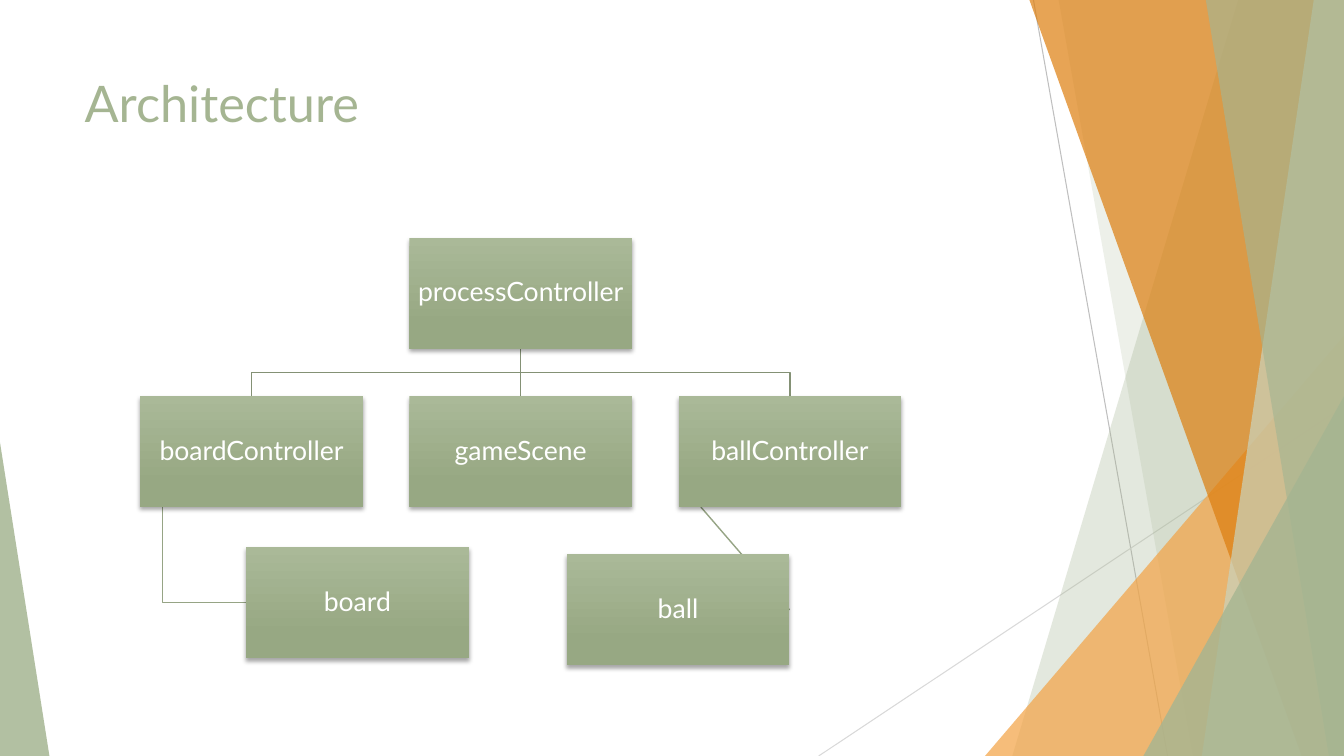
from lxml import etree
from pptx import Presentation
from pptx.dml.color import RGBColor
from pptx.enum.shapes import MSO_CONNECTOR, MSO_SHAPE
from pptx.enum.text import MSO_ANCHOR, PP_ALIGN
from pptx.oxml.ns import qn
from pptx.util import Inches, Pt

RECTANGLE, TRIANGLE = MSO_SHAPE.RECTANGLE, MSO_SHAPE.ISOSCELES_TRIANGLE
STRAIGHT = MSO_CONNECTOR.STRAIGHT
TOP, MIDDLE = MSO_ANCHOR.TOP, MSO_ANCHOR.MIDDLE
LEFT, CENTER = PP_ALIGN.LEFT, PP_ALIGN.CENTER

WHITE = RGBColor(0xFF, 0xFF, 0xFF)
SAGE = RGBColor(0xA5, 0xB5, 0x92)
PALE_SAGE = RGBColor(0xC9, 0xD3, 0xBE)
ORANGE = RGBColor(0xF3, 0xA4, 0x47)
DARK_ORANGE = RGBColor(0xDD, 0x7E, 0x0E)
GREY = RGBColor(0xBF, 0xBF, 0xBF)
LIGHT_GREY = RGBColor(0xD9, 0xD9, 0xD9)
BOX_TOP = RGBColor(0xAA, 0xB9, 0x98)
BOX_BOTTOM = RGBColor(0x97, 0xA8, 0x83)
UPPER_LINK = RGBColor(0x84, 0x91, 0x75)
LOWER_LINK = RGBColor(0x96, 0xA4, 0x85)

FONT = "Lato"
PAGE_WIDTH, PAGE_HEIGHT = 13.33, 7.5
BOX_WIDTH, BOX_HEIGHT = 2.21, 1.1


def style_span(span, size, color):
    span.font.name = FONT
    span.font.size = Pt(size)
    span.font.color.rgb = color


def fill_flat(shape, color, opacity):
    """Fill with a see-through colour, without outline or shadow."""
    shape.shadow.inherit = False
    shape.fill.solid()
    shape.fill.fore_color.rgb = color
    shape.line.fill.background()
    clr = shape._element.spPr.find(qn("a:solidFill"))[0]
    etree.SubElement(clr, qn("a:alpha"), val=str(opacity * 1000))


def add_outline(page, points, close):
    corners = [(Inches(x), Inches(y)) for x, y in points]
    builder = page.shapes.build_freeform(*corners[0], scale=1.0)
    builder.add_line_segments(corners[1:], close=close)
    return builder.convert_to_shape()


def add_band(page, top_x, bottom_x, color, opacity):
    """Band from a slanted left edge to the right edge of the page."""
    points = [(top_x, 0), (PAGE_WIDTH, 0),
              (PAGE_WIDTH, PAGE_HEIGHT), (bottom_x, PAGE_HEIGHT)]
    fill_flat(add_outline(page, points, True), color, opacity)


def add_corner(page, left, top, width, apex, color, opacity):
    """Triangle standing on the bottom edge of the page."""
    corner = page.shapes.add_shape(
        TRIANGLE, Inches(left), Inches(top), Inches(width),
        Inches(PAGE_HEIGHT - top))
    corner.adjustments[0] = apex
    fill_flat(corner, color, opacity)


def add_hairline(page, start, end, color):
    line = page.shapes.add_connector(
        STRAIGHT, *(Inches(value) for value in start + end))
    line.line.color.rgb = color
    line.line.width = Pt(0.75)
    etree.SubElement(line._element.spPr, qn("a:effectLst"))


def add_decoration(page):
    add_hairline(page, (10.25, 0), (11.58, PAGE_HEIGHT), GREY)
    add_hairline(page, (PAGE_WIDTH, 4.03), (8.12, PAGE_HEIGHT), LIGHT_GREY)
    add_band(page, 12.28, 10.04, SAGE, 30)
    add_band(page, 10.5, 11.83, SAGE, 20)
    add_corner(page, 9.77, 3.33, 3.56, 1, ORANGE, 72)
    add_band(page, 10.21, 12.91, DARK_ORANGE, 70)
    add_band(page, 13.03, 11.92, PALE_SAGE, 70)
    add_band(page, 11.96, 13.18, SAGE, 65)
    add_corner(page, 11.34, 3.93, 1.99, 1, SAGE, 80)
    add_corner(page, 0, 4.39, 0.49, 0, SAGE, 85)


def add_title(page, left, top, width, height):
    title = page.shapes.title
    title.left, title.top = Inches(left), Inches(top)
    title.width, title.height = Inches(width), Inches(height)
    frame = title.text_frame
    frame.text = "Architecture"
    frame.vertical_anchor = TOP
    para = frame.paragraphs[0]
    para.alignment = LEFT
    style_span(para.runs[0], 36, SAGE)


def add_link(page, points, color):
    link = add_outline(page, points, False)
    link.shadow.inherit = False
    link.fill.background()
    link.line.color.rgb = color
    link.line.width = Pt(1)


def add_box(page, name, left, top):
    box = page.shapes.add_shape(RECTANGLE, Inches(left), Inches(top),
                                Inches(BOX_WIDTH), Inches(BOX_HEIGHT))
    box.line.fill.background()
    box.fill.gradient()
    box.fill.gradient_angle = 270
    stops = box.fill.gradient_stops
    for stop, position, color in zip(stops, (0, 0.78), (BOX_TOP, BOX_BOTTOM)):
        stop.position = position
        stop.color.rgb = color

    # Soft shadow below the box
    box.shadow.inherit = False
    effects = box._element.spPr.find(qn("a:effectLst"))
    shadow = etree.SubElement(
        effects, qn("a:outerShdw"), blurRad=str(Pt(3)), dist=str(Pt(2)),
        dir="5400000", rotWithShape="0")
    black = etree.SubElement(shadow, qn("a:srgbClr"), val="000000")
    etree.SubElement(black, qn("a:alpha"), val="35000")

    frame = box.text_frame
    frame.text = name
    frame.word_wrap = True
    frame.vertical_anchor = MIDDLE
    frame.margin_left = frame.margin_right = Inches(0.01)
    frame.margin_top = frame.margin_bottom = Inches(0.01)
    para = frame.paragraphs[0]
    para.alignment = CENTER
    para.line_spacing = 0.9
    style_span(para.runs[0], 19, WHITE)


def add_hierarchy(page, left, top):
    step = 2.67
    columns = [left + step * i for i in range(3)]
    centers = [x + BOX_WIDTH / 2 for x in columns]
    row = top + 1.57
    root_bottom, row_bottom = top + BOX_HEIGHT, row + BOX_HEIGHT
    bus = (root_bottom + row) / 2
    board = (left + 1.05, top + 3.07)
    ball = (left + 4.23, top + 3.14)

    # Links, behind the boxes
    root = centers[1]
    board_stem = left + BOX_WIDTH / 10
    ball_stem = columns[2] + BOX_WIDTH / 10
    add_link(page, [(ball_stem, row_bottom),
                    (ball[0] + BOX_WIDTH, ball[1] + BOX_HEIGHT / 2)],
             LOWER_LINK)
    for end in (centers[2], centers[0]):
        add_link(page, [(root, root_bottom), (root, bus), (end, bus),
                        (end, row)], UPPER_LINK)
    add_link(page, [(root, root_bottom), (root, row)], UPPER_LINK)
    elbow = board[1] + BOX_HEIGHT / 2
    add_link(page, [(board_stem, row_bottom), (board_stem, elbow),
                    (board[0], elbow)], LOWER_LINK)

    # Boxes
    add_box(page, "processController", columns[1], top)
    names = ("boardController", "gameScene", "ballController")
    for name, x in zip(names, columns):
        add_box(page, name, x, row)
    add_box(page, "board", *board)
    add_box(page, "ball", *ball)


def main():
    deck = Presentation()
    deck.slide_width = Inches(PAGE_WIDTH)
    deck.slide_height = Inches(PAGE_HEIGHT)
    page = deck.slides.add_slide(deck.slide_layouts[5])
    add_decoration(page)
    add_title(page, 0.74, 0.67, 9.4, 1.44)
    add_hierarchy(page, 1.39, 2.36)
    deck.save("out.pptx")


if __name__ == "__main__":
    main()
